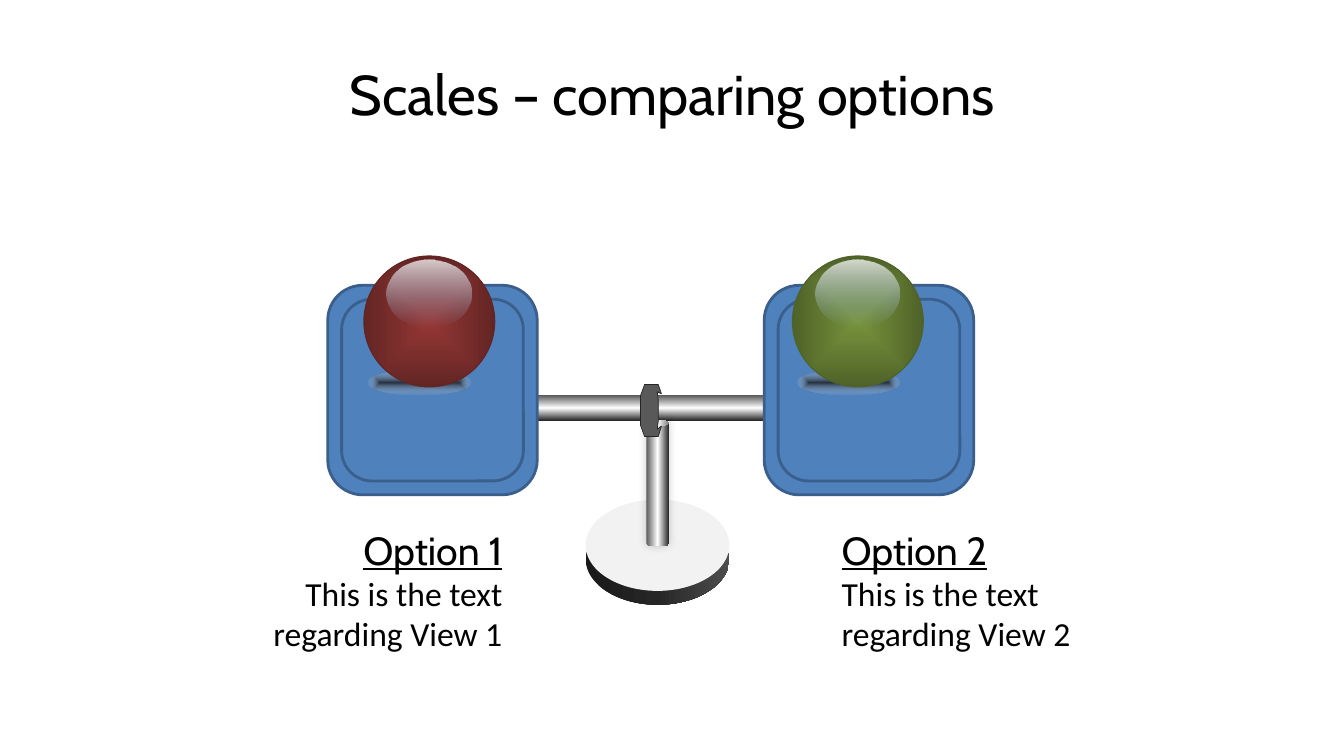
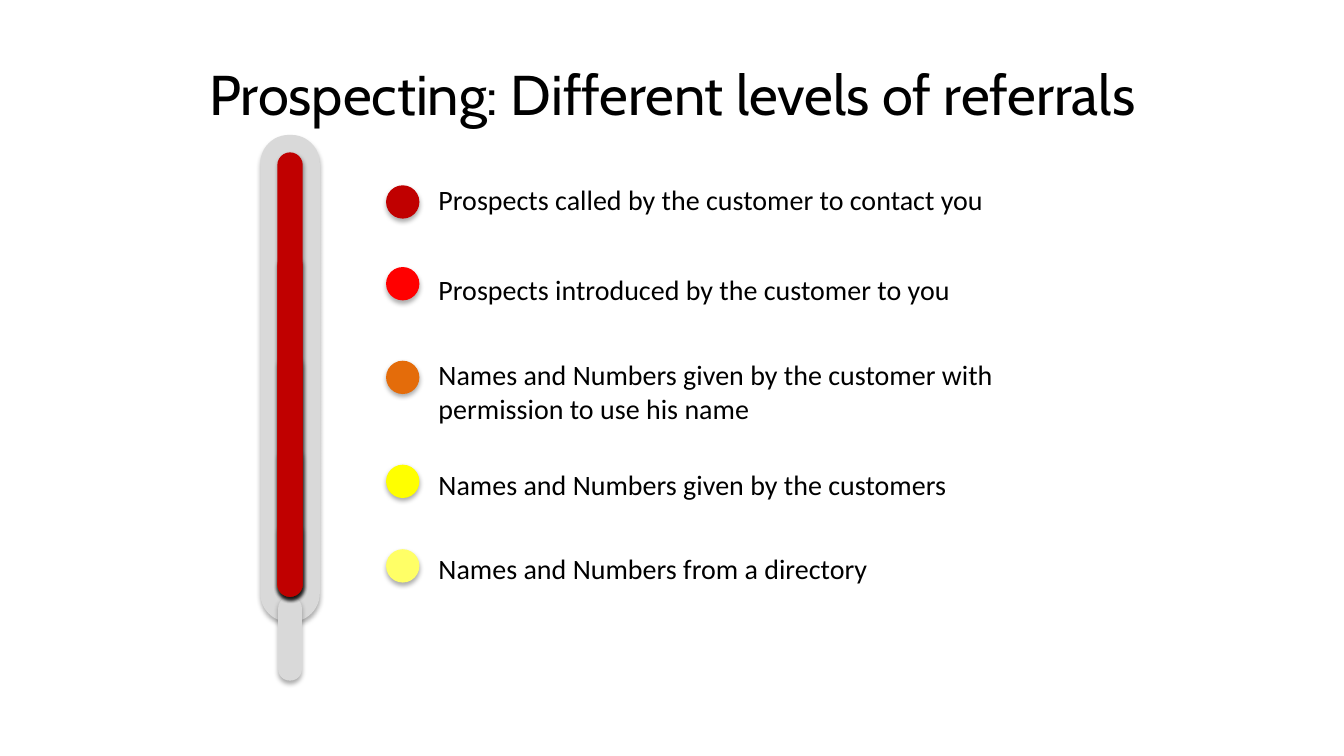
from dataclasses import dataclass

from lxml import etree
from pptx import Presentation
from pptx.dml.color import RGBColor
from pptx.enum.shapes import MSO_SHAPE
from pptx.enum.text import MSO_ANCHOR, PP_ALIGN
from pptx.oxml.ns import qn
from pptx.util import Cm, Pt

OVAL = MSO_SHAPE.OVAL
ROUNDED = MSO_SHAPE.ROUNDED_RECTANGLE
CAN = MSO_SHAPE.CAN
LEFT, CENTER, RIGHT = PP_ALIGN.LEFT, PP_ALIGN.CENTER, PP_ALIGN.RIGHT
TOP, MIDDLE = MSO_ANCHOR.TOP, MSO_ANCHOR.MIDDLE


@dataclass(frozen=True)
class Theme:
    heading: str = "Cabin"
    body: str = "Calibri"
    title_size: int = 40
    option_size: int = 28
    text_size: int = 24
    legend_size: int = 20
    ink: str = "000000"
    panel: str = "4F81BD"
    panel_line: str = "3A5F8C"
    disc: str = "F2F2F2"
    ring: str = "595959"
    glass: str = "D9D9D9"
    steel: tuple = ((0, "595959", 100), (50, "FFFFFF", 100), (100, "262626", 100))
    rim: tuple = ((0, "1A1A1A", 100), (50, "262626", 100), (100, "4D4D4D", 100))
    ball_shade: tuple = ((0, "171717", 76), (100, "FFFFFF", 0))
    shine: tuple = ((0, "FFFFFF", 77), (100, "8EB4E3", 0))
    red: tuple = ("953735", "632523")
    green: tuple = ("77933C", "4F6228")
    soft_shadow: tuple = (32, 3.5, 2.2, 90)
    level_shadow: tuple = (38, 3.1, 1.6, 90)
    post_shadow: tuple = (20, 6, 0, 315)


T = Theme()

LEGEND = [
    ("Prospects called by the customer to contact you", "C00000", "C00000", 3.84, 4.67, 4.47),
    ("Prospects introduced by the customer to you", "FF0000", "FF0000", 6.38, 6.73, 6.73),
    ("Names and Numbers given by the customer with permission to use his name",
     "E46C0A", "E46C0A", 8.92, 9.09, 8.89),
    ("Names and Numbers given by the customers", "FFFF00", "FFFF00", 11.23, 11.71, 11.66),
    ("Names and Numbers from a directory", "FFFF66", "FFFF99", 13.13, 13.84, 13.77),
]


def set_gradient(sp, stops, angle):
    sp.fill.solid()
    spPr = sp._element.spPr
    grad = etree.Element(qn("a:gradFill"), rotWithShape="1")
    gs_list = etree.SubElement(grad, qn("a:gsLst"))
    for pos, color, alpha in stops:
        gs = etree.SubElement(gs_list, qn("a:gs"), pos=str(pos * 1000))
        clr = etree.SubElement(gs, qn("a:srgbClr"), val=color)
        if alpha < 100:
            etree.SubElement(clr, qn("a:alpha"), val=str(alpha * 1000))
    if angle is None:
        shade = etree.SubElement(grad, qn("a:path"), path="shape")
        sides = dict.fromkeys("ltrb", "50000")
        etree.SubElement(shade, qn("a:fillToRect"), sides)
    else:
        etree.SubElement(grad, qn("a:lin"), ang=str(angle * 60000), scaled="0")
    spPr.replace(spPr.find(qn("a:solidFill")), grad)


def set_shadow(sp, shadow):
    alpha, blur, dist, angle = shadow
    effects = sp._element.spPr.find(qn("a:effectLst"))
    outer = etree.SubElement(
        effects, qn("a:outerShdw"), blurRad=str(Pt(blur)), dist=str(Pt(dist)),
        dir=str(angle * 60000), algn="ctr", rotWithShape="0")
    clr = etree.SubElement(outer, qn("a:srgbClr"), val="000000")
    etree.SubElement(clr, qn("a:alpha"), val=str(alpha * 1000))


def paint(sp, fill, angle=None, line=None, width=0.75, shadow=None):
    sp.shadow.inherit = False
    if isinstance(fill, str):
        sp.fill.solid()
        sp.fill.fore_color.rgb = RGBColor.from_string(fill)
    else:
        set_gradient(sp, fill, angle)
    if line:
        sp.line.color.rgb = RGBColor.from_string(line)
        sp.line.width = Pt(width)
    else:
        sp.line.fill.background()
    if shadow:
        set_shadow(sp, shadow)


def add_shape(s, kind, box, fill, adj=None, **style):
    sp = s.shapes.add_shape(kind, *map(Cm, box))
    if adj is not None:
        sp.adjustments[0] = adj
    paint(sp, fill, **style)
    return sp


def add_text(s, box, lines, align=LEFT, anchor=TOP):
    tf = s.shapes.add_textbox(*map(Cm, box)).text_frame
    tf.word_wrap = True
    tf.vertical_anchor = anchor
    for i, (text, font) in enumerate(lines):
        p = tf.add_paragraph() if i else tf.paragraphs[0]
        p.alignment = align
        r = p.add_run()
        r.text = text
        r.font.color.rgb = RGBColor.from_string(T.ink)
        for name, value in font.items():
            setattr(r.font, name, value)


def add_slide(prs, title):
    s = prs.slides.add_slide(prs.slide_layouts[6])
    font = {"name": T.heading, "size": Pt(T.title_size)}
    add_text(s, (1.7, 0.76, 30.48, 3.18), [(title, font)], CENTER, MIDDLE)
    return s


def add_panel(s, x, y, size):
    for inset in (0, 0.35):
        side = size - 2 * inset
        add_shape(s, ROUNDED, (x + inset, y + inset, side, side), T.panel,
                  line=T.panel_line, width=2)


def add_ball(s, x, y, size, colors):
    inner, outer = colors
    add_shape(s, OVAL, (x + 0.1, y + 2.87, 2.62, 0.64), T.ball_shade)
    add_shape(s, OVAL, (x, y, size, size),
              ((0, inner, 100), (100, outer, 100)), line=outer)
    add_shape(s, OVAL, (x + 0.58, y + 0.08, 2.13, 1.73), T.shine, angle=90)


def add_ring(s, x, y, w, h):
    outline = [(0.2, 0), (0.85, 0), (1, 0.18), (0.8, 0.14), (0.85, 0.3), (0.85, 0.7),
               (0.8, 0.86), (1, 0.8), (0.85, 1), (0.2, 1), (0, 0.78), (0, 0.22)]
    points = [(Cm(x + w * fx), Cm(y + h * fy)) for fx, fy in outline]
    builder = s.shapes.build_freeform(*points[0])
    builder.add_line_segments(points[1:], close=True)
    paint(builder.convert_to_shape(), T.ring, line="262626", width=0.5)


def add_stand(s, x, y, w):
    add_shape(s, OVAL, (x, y + 3.35, w, 2.3), T.rim, angle=0)
    add_shape(s, OVAL, (x, y + 3, w, 2.3), T.disc)
    add_shape(s, CAN, (x + w / 2 - 0.28, y + 1, 0.57, 3.18), T.steel, angle=0,
              shadow=T.post_shadow)
    add_ring(s, x + 1.38, y + 0.1, 0.53, 1.31)


def add_scales(s, x, y, w):
    panel = 5.28
    right = x + w - panel
    length = 13.34
    rod = add_shape(s, CAN, (x + 8.25, y - 3.58, 0.64, length), T.steel, angle=0)
    rod.rotation = 90
    for left in (x, right):
        add_panel(s, left, y, panel)
    add_stand(s, x + 6.5, y + 2.4, 3.62)
    add_ball(s, right + 0.71, y - 0.74, 3.3, T.green)
    add_ball(s, x + 0.91, y - 0.74, 3.3, T.red)


def add_option(s, x, y, number, align):
    lines = [
        (f"Option {number}",
         {"name": T.heading, "size": Pt(T.option_size), "underline": True}),
        (f"This is the text regarding View {number}",
         {"name": T.body, "size": Pt(T.text_size)}),
    ]
    add_text(s, (x, y, 6.99, 3.5), lines, align)


def add_thermometer(s, x, y, w, h):
    center = x + w / 2
    add_shape(s, ROUNDED, (x, y, w, h), T.glass, adj=0.48, shadow=T.soft_shadow)
    add_shape(s, ROUNDED, (center - 0.3, y + h - 0.63, 0.6, 2.11), T.glass,
              adj=0.48, shadow=T.soft_shadow)
    bottom = y + h - 0.63
    for _, _, color, top, _, _ in reversed(LEGEND):
        add_shape(s, ROUNDED, (center - 0.32, top, 0.64, bottom - top), color,
                  adj=0.5, shadow=T.level_shadow)


def add_legend(s, x, w):
    font = {"name": T.body, "size": Pt(T.legend_size)}
    for text, color, _, _, dot_top, text_top in LEGEND:
        add_text(s, (x + 1.07, text_top, w - 1.07, 1.12), [(text, font)])
        add_shape(s, OVAL, (x, dot_top, 0.84, 0.84), color, shadow=T.soft_shadow)


def scales_slide(prs):
    s = add_slide(prs, "Scales – comparing options")
    add_option(s, 5.92, 13.13, 1, RIGHT)
    add_option(s, 20.96, 13.13, 2, LEFT)
    add_scales(s, 8.26, 7.19, 16.28)


def referrals_slide(prs):
    s = add_slide(prs, "Prospecting: Different levels of referrals")
    add_thermometer(s, 6.56, 3.4, 1.5, 12.27)
    add_legend(s, 9.73, 17.37)


def main():
    prs = Presentation()
    prs.slide_width, prs.slide_height = Cm(33.87), Cm(19.05)
    scales_slide(prs)
    referrals_slide(prs)
    prs.save("out.pptx")


if __name__ == "__main__":
    main()
